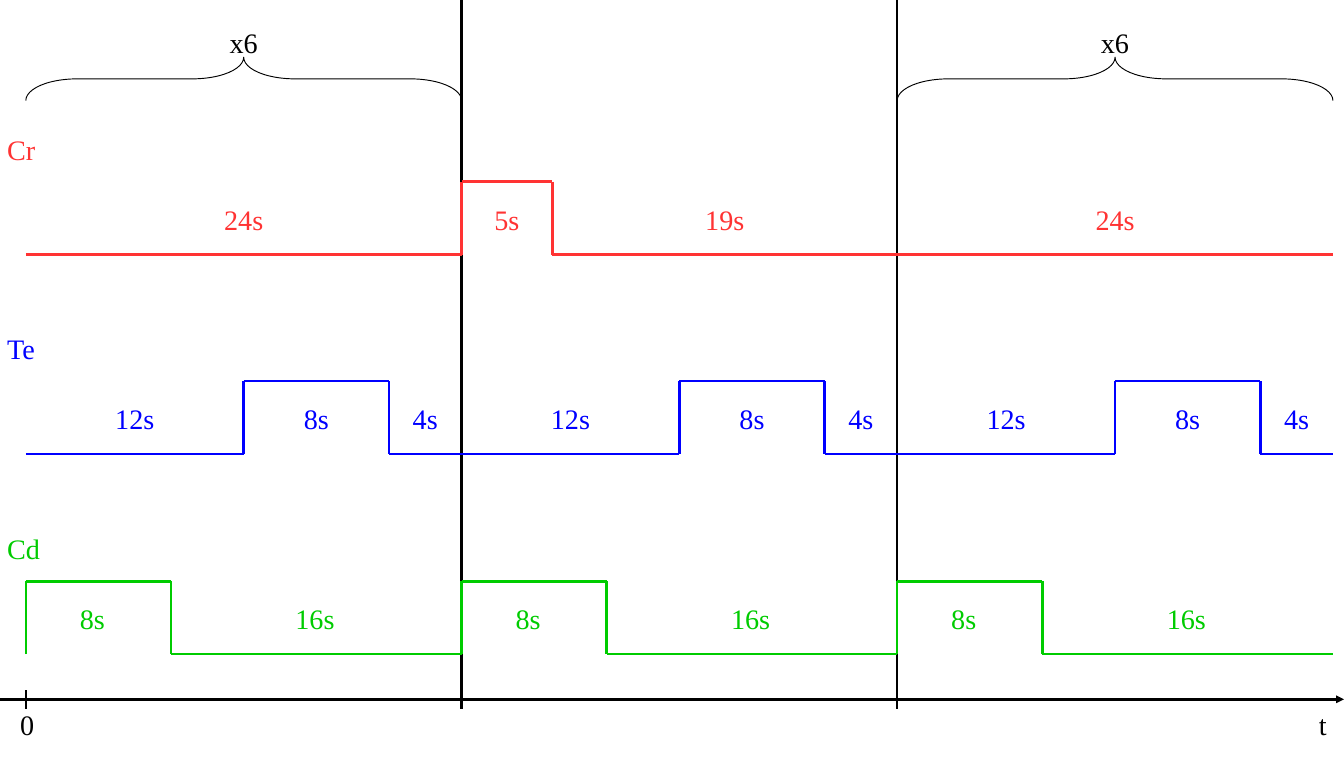
from collections import namedtuple

from lxml.etree import SubElement
from pptx import Presentation
from pptx.dml.color import RGBColor
from pptx.enum.shapes import MSO_CONNECTOR, MSO_SHAPE
from pptx.enum.text import MSO_AUTO_SIZE, PP_ALIGN
from pptx.oxml.ns import qn
from pptx.util import Emu, Pt

EMU_PER_PX = 9144
BLACK = RGBColor(0x00, 0x00, 0x00)
RED = RGBColor(0xFF, 0x33, 0x33)
BLUE = RGBColor(0x00, 0x00, 0xFF)
GREEN = RGBColor(0x00, 0xCC, 0x00)
FONT = "Times New Roman"

SLIDE_WIDTH, SLIDE_HEIGHT = 1457, 827
START = 28
PX_PER_SECOND = 19.68
CYCLE_SECONDS = 24
CYCLE = CYCLE_SECONDS * PX_PER_SECOND
CYCLES = 3
AXIS_Y = 758
TEXT_HEIGHT = 44
LOW, HIGH = 0, 1

Box = namedtuple("Box", "left top width height")
Track = namedtuple("Track", "name color top align steps")

TE_CYCLE = [(12, LOW), (8, HIGH), (4, LOW)]
CD_CYCLE = [(8, HIGH), (16, LOW)]
TRACKS = [
    Track("Cd", GREEN, 630, PP_ALIGN.LEFT, CD_CYCLE * CYCLES),
    Track("Te", BLUE, 413, PP_ALIGN.CENTER, TE_CYCLE * CYCLES),
    Track("Cr", RED, 197, PP_ALIGN.CENTER, [(24, LOW), (5, HIGH), (19, LOW), (24, LOW)]),
]


def px(length):
    """Turn a length in px into EMU."""
    return Emu(round(length * EMU_PER_PX))


def add_line(slide, x1, y1, x2, y2, color, arrow=False):
    """Draw a hairline, with an arrowhead at its end if asked."""
    line = slide.shapes.add_connector(MSO_CONNECTOR.STRAIGHT, px(x1), px(y1), px(x2), px(y2))
    line.line.color.rgb = color
    line.line.width = Pt(0)
    properties = line._element.spPr
    if arrow:
        SubElement(properties.find(qn("a:ln")), qn("a:tailEnd"), type="triangle")
    SubElement(properties, qn("a:effectLst"))


def add_label(slide, box, text, color, align=PP_ALIGN.CENTER):
    """Write one line of text in the given box."""
    label = slide.shapes.add_textbox(*map(px, box))
    frame = label.text_frame
    frame.word_wrap = True
    frame.auto_size = MSO_AUTO_SIZE.SHAPE_TO_FIT_TEXT
    para = frame.paragraphs[0]
    para.text = text
    para.alignment = align
    para.font.name = FONT
    para.font.size = Pt(22)
    para.font.color.rgb = color


def draw_time_axis(slide, box):
    """Draw the time axis, its origin and the lines between cycles."""
    right = box.left + box.width
    add_line(slide, box.left, AXIS_Y, right, AXIS_Y, BLACK, arrow=True)
    for cycle in range(CYCLES):
        x = box.left + START + cycle * CYCLE
        top = box.top if cycle else AXIS_Y - 10
        add_line(slide, x, top, x, AXIS_Y + 10, BLACK)
    add_label(slide, Box(box.left + START - 16, AXIS_Y + 4, 32, TEXT_HEIGHT), "0", BLACK)
    add_label(slide, Box(right - 37, AXIS_Y + 4, 43, TEXT_HEIGHT), "t", BLACK, PP_ALIGN.LEFT)


def draw_repeat_brace(slide, box):
    """Span the box with an upward brace and its repeat count."""
    center_x = box.left + box.width / 2
    center_y = box.top + box.height / 2
    brace = slide.shapes.add_shape(
        MSO_SHAPE.LEFT_BRACE,
        px(center_x - box.height / 2), px(center_y - box.width / 2),
        px(box.height), px(box.width),
    )
    brace.rotation = 90
    brace.adjustments[0] = 1.18
    brace.shadow.inherit = False
    brace.fill.background()
    brace.line.color.rgb = BLACK
    brace.line.width = Pt(0)
    add_label(slide, Box(center_x - 28, box.top - 39, 56, TEXT_HEIGHT), "x6", BLACK)


def draw_track(slide, box, track):
    """Draw one signal as a square wave with the length of each step."""
    level_y = {LOW: box.top + box.height, HIGH: box.top}
    add_label(slide, Box(box.left - 30, box.top - 59, 60, TEXT_HEIGHT),
              track.name, track.color, PP_ALIGN.LEFT)
    x, previous = box.left, LOW
    for seconds, level in track.steps:
        width = seconds * PX_PER_SECOND
        y = level_y[level]
        if level != previous:
            add_line(slide, x, level_y[previous], x, y, track.color)
        add_line(slide, x, y, x + width, y, track.color)
        label_width = 60 if track.align == PP_ALIGN.LEFT and seconds < 10 else 65
        label_box = Box(x + (width - label_width) / 2, box.top + 17, label_width, TEXT_HEIGHT)
        add_label(slide, label_box, f"{seconds}s", track.color, track.align)
        x, previous = x + width, level


def main():
    """Build the pulse timing slide."""
    deck = Presentation()
    deck.slide_width, deck.slide_height = px(SLIDE_WIDTH), px(SLIDE_HEIGHT)
    slide = deck.slides.add_slide(deck.slide_layouts[6])
    draw_time_axis(slide, Box(0, 0, SLIDE_WIDTH, SLIDE_HEIGHT))
    for cycle in (0, 2):
        draw_repeat_brace(slide, Box(START + cycle * CYCLE, 62, CYCLE, 47))
    for track in TRACKS:
        draw_track(slide, Box(START, track.top, CYCLES * CYCLE, 79), track)
    deck.save("out.pptx")


if __name__ == "__main__":
    main()
